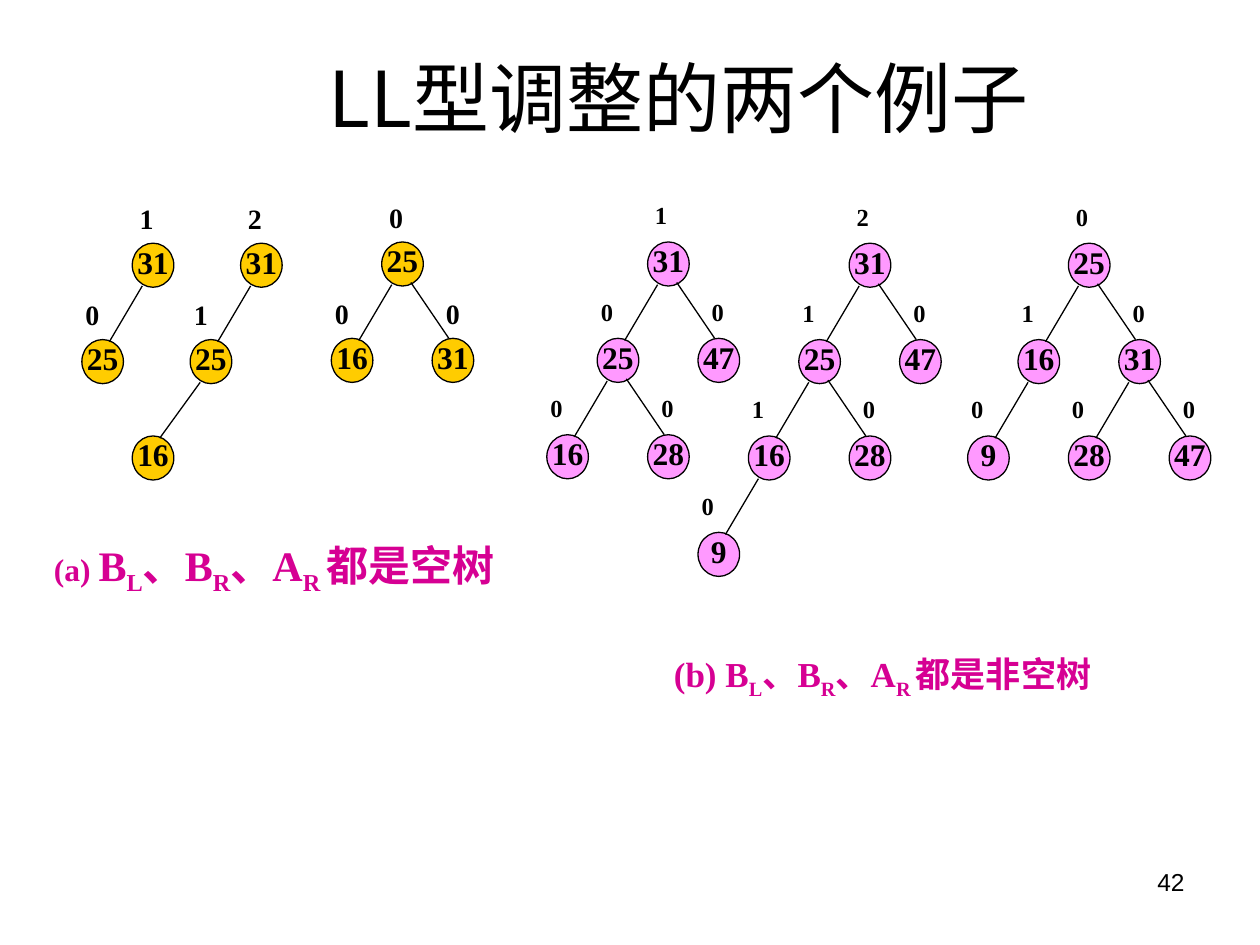
from dataclasses import dataclass
from typing import Optional

from lxml.etree import SubElement
from pptx import Presentation
from pptx.dml.color import RGBColor
from pptx.enum.shapes import MSO_CONNECTOR, MSO_SHAPE
from pptx.enum.text import MSO_ANCHOR, PP_ALIGN
from pptx.oxml.ns import qn
from pptx.util import Inches, Pt

COLORS = {"ink": "000000", "gold": "FFCC00", "pink": "FF99FF", "caption": "D60093"}
SERIF, SANS, CJK = "Times New Roman", "Arial", "Noto Sans CJK JP"
COLUMN, ROW = 0.4, 0.765
NODE_WIDTH, NODE_HEIGHT = 0.33, 0.35

# Per side: where an edge leaves the parent and meets the child, as shares of a node
EDGE_ENDS = {-1: ((0.24, 0.97), (0.66, 0.05)), 1: ((0.7, 0.92), (0.4, 0))}
# Shift of the balance factor from its node, by the side the node hangs on
FACTOR_SHIFT = {-1: -0.07, 0: -0.04, 1: 0.01}


@dataclass
class Node:
    key: str
    factor: str = ""
    left: Optional["Node"] = None
    right: Optional["Node"] = None
    lean: float = 1  # columns away from the parent


EMPTY_SUBTREES = [
    (1.05, 1.93, Node("31", "1", Node("25", "0"))),
    (1.91, 1.93, Node("31", "2", Node("25", "1", Node("16", lean=1.15)))),
    (3.03, 1.92, Node("25", "0", Node("16", "0"), Node("31", "0"))),
]
FULL_SUBTREES = [
    (5.14, 1.92, Node("31", "1",
                      Node("25", "0", Node("16", "0"), Node("28", "0")),
                      Node("47", "0"))),
    (6.74, 1.93, Node("31", "2",
                      Node("25", "1", Node("16", "1", Node("9", "0")), Node("28", "0")),
                      Node("47", "0"))),
    (8.48, 1.93, Node("25", "0",
                      Node("16", "1", Node("9", "0")),
                      Node("31", "0", Node("28", "0"), Node("47", "0")))),
]


def color(name):
    return RGBColor.from_string(COLORS[name])


def style(font, size, name=SERIF, ink="ink", bold=True):
    font.size, font.name, font.bold = Pt(size), name, bold
    font.color.rgb = color(ink)


def set_east_asian_font(span):
    SubElement(span._r.get_or_add_rPr(), qn("a:ea"), typeface=CJK)


def add_text(shapes, left, top, width, height):
    """Add a wrapping text box and return its first paragraph."""
    box = shapes.add_textbox(*map(Inches, (left, top, width, height)))
    box.text_frame.word_wrap = True
    return box.text_frame.paragraphs[0]


def add_title(page, left, top, width, height):
    title = page.shapes.title
    title.left, title.top, title.width, title.height = map(
        Inches, (left, top, width, height))
    title.text_frame.vertical_anchor = MSO_ANCHOR.MIDDLE
    para = title.text_frame.paragraphs[0]
    para.text = "LL型调整的两个例子"
    para.alignment = PP_ALIGN.CENTER
    style(para.font, 44, CJK, bold=False)
    set_east_asian_font(para.runs[0])


def add_edge(shapes, parent, child, side):
    points = [(x + share_x * NODE_WIDTH, y + share_y * NODE_HEIGHT)
              for (x, y), (share_x, share_y) in zip((parent, child), EDGE_ENDS[side])]
    edge = shapes.add_connector(
        MSO_CONNECTOR.STRAIGHT, *(Inches(value) for point in points for value in point))
    edge.line.color.rgb, edge.line.width = color("ink"), Pt(0.75)
    SubElement(edge._element.spPr, qn("a:effectLst"))


def add_node(shapes, x, y, key, fill):
    circle = shapes.add_shape(
        MSO_SHAPE.OVAL, *map(Inches, (x, y, NODE_WIDTH, NODE_HEIGHT)))
    circle.shadow.inherit = False
    circle.fill.solid()
    circle.fill.fore_color.rgb = color(fill)
    circle.line.color.rgb, circle.line.width = color("ink"), Pt(0.75)
    frame = circle.text_frame
    frame.word_wrap = False
    frame.vertical_anchor = MSO_ANCHOR.MIDDLE
    frame.margin_left = frame.margin_right = frame.margin_top = 0
    frame.margin_bottom = Inches(0.06)
    para = frame.paragraphs[0]
    para.text, para.alignment = key, PP_ALIGN.CENTER
    style(para.font, 18)


def add_tree(shapes, x, y, node, fill, factor_size, side=0):
    """Draw a node with its top left at x, y, then its subtrees one row down."""
    add_node(shapes, x, y, node.key, fill)
    if node.factor:
        para = add_text(shapes, x + FACTOR_SHIFT[side], y - 0.38, 0.4, 0.58)
        para.text = node.factor
        style(para.font, factor_size)
    for child_side, child in ((-1, node.left), (1, node.right)):
        if child:
            spot = (x + child_side * child.lean * COLUMN, y + ROW)
            add_tree(shapes, *spot, child, fill, factor_size, child_side)
            add_edge(shapes, (x, y), spot, child_side)


def add_forest(page, trees, fill, factor_size):
    group = page.shapes.add_group_shape()
    for x, y, root in trees:
        add_tree(group.shapes, x, y, root, fill, factor_size)


def add_caption(page, area, label, label_size, size, ending):
    para = add_text(page.shapes, *area)
    para.alignment = PP_ALIGN.JUSTIFY
    parts = [(label, label_size, False)]
    for name, index in (("B", "L"), ("、B", "R"), ("、A", "R ")):
        parts += [(name, size, False), (index, size, True)]
    parts.append((ending, size, False))
    for text, points, lowered in parts:
        span = para.add_run()
        span.text = text
        style(span.font, points, ink="caption")
        set_east_asian_font(span)
        if lowered:
            span._r.get_or_add_rPr().set("baseline", "-25000")


def add_page_number(page, left, top, width, height):
    para = add_text(page.shapes, left, top, width, height)
    para.text, para.alignment = "42", PP_ALIGN.RIGHT
    style(para.font, 14, SANS, bold=False)


def main():
    deck = Presentation()
    deck.slide_width, deck.slide_height = Inches(10), Inches(7.5)
    page = deck.slides.add_slide(deck.slide_layouts[5])
    add_title(page, 1.35, 0.27, 8.07, 1)
    add_forest(page, EMPTY_SUBTREES, "gold", 16)
    add_caption(page, (0.33, 4.23, 3.8, 0.77), "(a) ", 18, 24, "都是空树")
    add_caption(page, (5.25, 5.13, 4.17, 0.62), "(b) ", 20, 20, "都是非空树")
    add_forest(page, FULL_SUBTREES, "pink", 14)
    add_page_number(page, 7.17, 6.83, 2.33, 0.52)
    deck.save("out.pptx")


if __name__ == "__main__":
    main()
